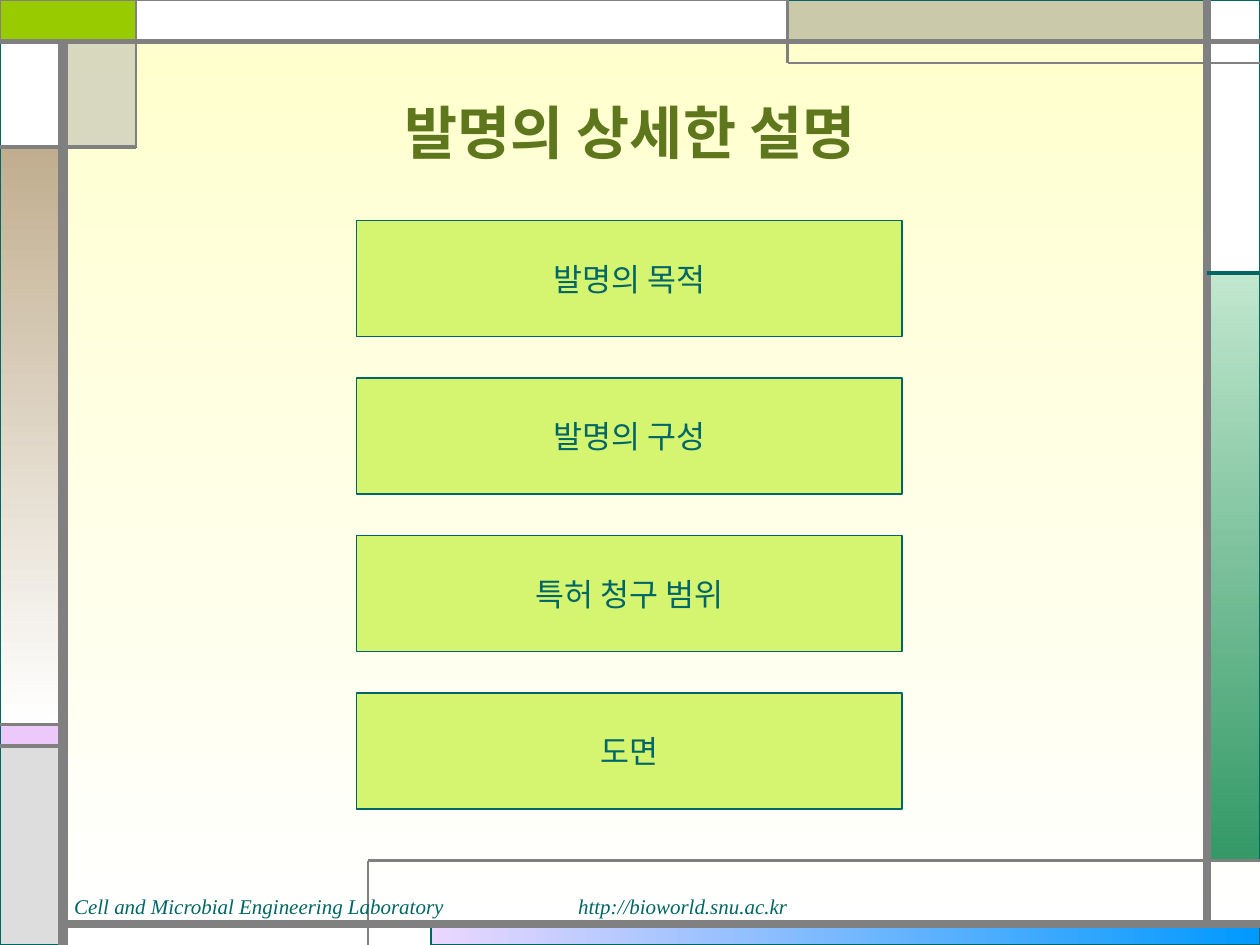
from lxml import etree
from pptx import Presentation, util as u
from pptx.dml.color import RGBColor
from pptx.enum import shapes, text
from pptx.oxml.ns import qn

# Content
TITLE = "발명의 상세한 설명"
SECTIONS = ["발명의 목적", "발명의 구성", "특허 청구 범위", "도면"]
FOOTER = "Cell and Microbial Engineering Laboratory\t\thttp://bioworld.snu.ac.kr"

# Palette and type
TEAL, GRAY, WHITE = "006666", "808080", "FFFFFF"
LATIN, KOREAN = "Times New Roman", "Noto Sans CJK KR"
TITLE_FONT = {"name": KOREAN, "size": u.Pt(33), "bold": True}
SECTION_FONT = {"name": LATIN, "size": u.Pt(18)}
FOOTER_FONT = {"name": LATIN, "size": u.Pt(12), "italic": True}

# Frame grid
WIDTH, HEIGHT = 10, 7.5
LEFT, RIGHT, TOP, BOTTOM = 0.5, 9.58, 0.33, 7.33
TAB, BANNER, NOTCH = 1.08, 6.25, 2.92          # x of the inner corners
TAB_END, GREEN, SHELF = 1.17, 2.17, 6.83       # y of the inner corners
PINK, SILVER = 5.75, 5.92

# Panels: left, top, right, bottom, fill (a tuple is a gradient: from, to, angle)
PANELS = [
    (3.42, BOTTOM, WIDTH, HEIGHT, ("0099FF", "EBD7FF", 180)),
    (RIGHT, GREEN, WIDTH, SHELF, ("C1E7CE", "339966", 90)),
    (0, PINK, LEFT, SILVER, "EDC9FB"),
    (0, SILVER, LEFT, HEIGHT, "DDDDDD"),
    (RIGHT, 0, WIDTH, GREEN, WHITE),
    (BANNER, 0, RIGHT, TOP, "CAC9AA"),
    (LEFT, TOP, TAB, TAB_END, "B2B2B2"),
    (0, TAB_END, LEFT, PINK, ("C1AE8F", WHITE, 90)),
    (0, TOP, LEFT, TAB_END, WHITE),
    (0, 0, TAB, TOP, "99CC00"),
    (TAB, 0, BANNER, TOP, WHITE),
]
OUTLINES = {"99CC00": (GRAY, 1.5)}
TRANSLUCENT = "B2B2B2"

# Rules: x1, y1, x2, y2, weight, colour
RULES = [
    (LEFT, HEIGHT, LEFT, TOP, 6, GRAY),
    (LEFT, BOTTOM, WIDTH, BOTTOM, 4.5, GRAY),
    (RIGHT, BOTTOM, RIGHT, 0, 4.5, GRAY),
    (0, TOP, WIDTH, TOP, 3, GRAY),
    (WIDTH, 0.5, BANNER, 0.5, 1.5, GRAY),
    (BANNER, 0.5, BANNER, 0, 1.5, GRAY),
    (RIGHT, GREEN, WIDTH, GREEN, 2.25, TEAL),
    (TAB, 0, TAB, TAB_END, 1.5, GRAY),
    (TAB, TAB_END, 0, TAB_END, 2.25, GRAY),
    (NOTCH, HEIGHT, NOTCH, SHELF, 1.5, GRAY),
    (NOTCH, SHELF, WIDTH, SHELF, 1.5, GRAY),
    (LEFT, PINK, 0, PINK, 2.25, GRAY),
    (LEFT, SILVER, 0, SILVER, 2.25, GRAY),
]


def color(value):
    return RGBColor.from_string(value)


def paint(fill, value):
    if isinstance(value, str):
        fill.solid()
        fill.fore_color.rgb = color(value)
        return
    start, end, angle = value
    fill.gradient()
    fill.gradient_angle = 360 - angle  # the library counts counter-clockwise
    for stop, position, shade in zip(fill.gradient_stops, (0, 1), (start, end)):
        stop.position = position
        stop.color.rgb = color(shade)


def add_box(page, left, top, width, height, fill, line=(TEAL, 0.75)):
    box = page.shapes.add_shape(shapes.MSO_SHAPE.RECTANGLE,
                                *map(u.Inches, (left, top, width, height)))
    box.shadow.inherit = False
    paint(box.fill, fill)
    box.line.color.rgb = color(line[0])
    box.line.width = u.Pt(line[1])
    return box


def add_rule(page, x1, y1, x2, y2, weight, shade):
    rule = page.shapes.add_connector(shapes.MSO_CONNECTOR.STRAIGHT,
                                     *map(u.Inches, (x1, y1, x2, y2)))
    rule.line.color.rgb = color(shade)
    rule.line.width = u.Pt(weight)
    etree.SubElement(rule._element.spPr, qn("a:effectLst"))


def write(box, words, font, shade, align, anchor, wrap, tabs=()):
    frame = box.text_frame
    frame.word_wrap = wrap
    frame.vertical_anchor = anchor
    para = frame.paragraphs[0]
    para.alignment = align
    if tabs:
        tab_list = etree.SubElement(para._p.get_or_add_pPr(), qn("a:tabLst"))
        for inch in tabs:
            etree.SubElement(tab_list, qn("a:tab"), pos=str(u.Inches(inch)), algn="l")
    span = para.add_run()
    span.text = words
    for key, value in font.items():
        setattr(span.font, key, value)
    span.font.color.rgb = color(shade)
    etree.SubElement(span._r.get_or_add_rPr(), qn("a:ea"), typeface=KOREAN)


def main():
    deck = Presentation()
    deck.slide_width, deck.slide_height = u.Inches(WIDTH), u.Inches(HEIGHT)
    page = deck.slides.add_slide(deck.slide_layouts[6])
    paint(page.background.fill, ("FFFFCC", WHITE, 90))

    # Decorative frame
    for left, top, right, bottom, fill in PANELS:
        panel = add_box(page, left, top, right - left, bottom - top, fill,
                        OUTLINES.get(fill, (GRAY if left == TAB else TEAL, 0.75)))
        if fill == TRANSLUCENT:
            shade = panel._element.spPr.find(".//" + qn("a:srgbClr"))
            etree.SubElement(shade, qn("a:alpha"), val="50000")
    for rule in RULES:
        add_rule(page, *rule)

    # Footer
    footer = page.shapes.add_textbox(*map(u.Inches, (0.49, 7.04, 5.86, 0.5)))
    footer.text_frame.auto_size = text.MSO_AUTO_SIZE.SHAPE_TO_FIT_TEXT
    write(footer, FOOTER, FOOTER_FONT, TEAL, text.PP_ALIGN.LEFT,
          text.MSO_ANCHOR.TOP, False, range(1, 8))

    # Title
    title = page.shapes.add_textbox(*map(u.Inches, (0.75, 0.42, 8.5, 1.25)))
    write(title, TITLE, TITLE_FONT, "5E761C", text.PP_ALIGN.CENTER,
          text.MSO_ANCHOR.MIDDLE, True)

    # Section boxes, evenly stacked
    for row, section in enumerate(SECTIONS):
        box = add_box(page, 2.83, 1.75 + 1.25 * row, 4.33, 0.92, "D5F470")
        write(box, section, SECTION_FONT, TEAL, text.PP_ALIGN.CENTER,
              text.MSO_ANCHOR.MIDDLE, False)

    deck.save("out.pptx")


if __name__ == "__main__":
    main()
